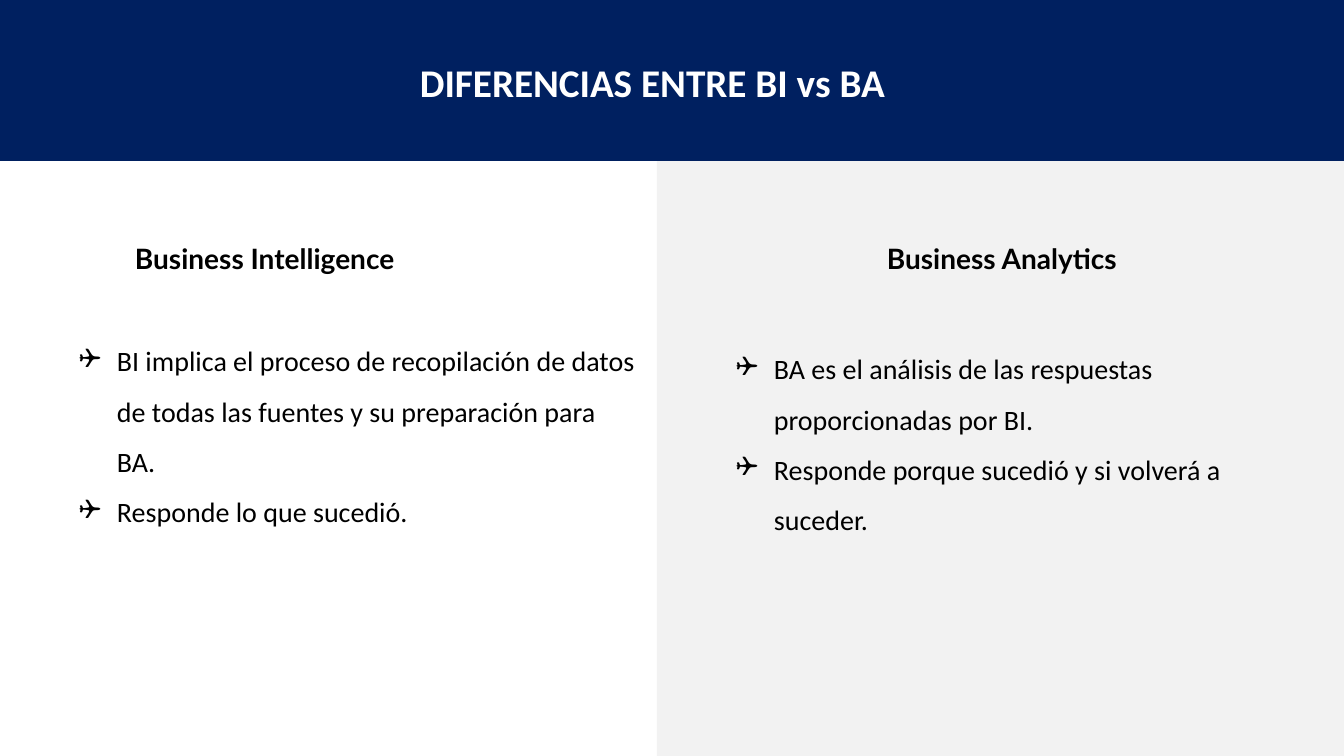
"""Build a slide that compares Business Intelligence with Business Analytics."""
from lxml import etree
from pptx import Presentation
from pptx.dml.color import RGBColor
from pptx.enum.shapes import MSO_SHAPE
from pptx.enum.text import MSO_AUTO_SIZE
from pptx.oxml.ns import qn
from pptx.util import Emu, Pt

TITLE = "DIFERENCIAS ENTRE BI vs BA"
COLUMNS = [
    {
        "heading": "Business Intelligence",
        "heading_box": (125, 237, 393, 44),
        "points": [
            "BI implica el proceso de recopilación de datos de todas las fuentes y su preparación para BA.",
            "Responde lo que sucedió.",
        ],
        "points_box": (69, 322, 576, 209),
    },
    {
        "heading": "Business Analytics",
        "heading_box": (877, 237, 342, 44),
        "points": [
            "BA es el análisis de las respuestas proporcionadas por BI.",
            "Responde porque sucedió y si volverá a suceder.",
        ],
        "points_box": (726, 330, 576, 209),
    },
]

NAVY = RGBColor(0x00, 0x20, 0x60)
LIGHT_GRAY = RGBColor(0xF2, 0xF2, 0xF2)
WHITE = RGBColor(0xFF, 0xFF, 0xFF)
BLACK = RGBColor(0x00, 0x00, 0x00)

RECTANGLE = MSO_SHAPE.RECTANGLE
FIT_SHAPE = MSO_AUTO_SIZE.SHAPE_TO_FIT_TEXT
BODY_FONT, HEADING_FONT = "Calibri", "Lato"

WIDTH, HEIGHT = 1344, 756
BANNER_HEIGHT = 161
PANEL_LEFT = 657
BULLET_INDENT = 38
EMU_PER_PX = 12192000 / WIDTH


def px(length):
    return Emu(round(length * EMU_PER_PX))


def add_panel(slide, box, color):
    shape = slide.shapes.add_shape(RECTANGLE, *map(px, box))
    shape.shadow.inherit = False
    shape.fill.solid()
    shape.fill.fore_color.rgb = color
    shape.line.fill.background()


def add_bullet(paragraph):
    paragraph.line_spacing = 1.5
    properties = paragraph._p.get_or_add_pPr()
    properties.set("marL", str(px(BULLET_INDENT)))
    properties.set("indent", str(-px(BULLET_INDENT)))
    etree.SubElement(properties, qn("a:buFont"), typeface="Wingdings")
    etree.SubElement(properties, qn("a:buChar"), char="❑")


def add_text(slide, box, lines, font_name, size, color, bold=False, bulleted=False):
    frame = slide.shapes.add_textbox(*map(px, box)).text_frame
    frame.word_wrap = True
    frame.auto_size = FIT_SHAPE
    for index, line in enumerate(lines):
        paragraph = frame.add_paragraph() if index else frame.paragraphs[0]
        if bulleted:
            add_bullet(paragraph)
        run = paragraph.add_run()
        run.text = line
        run.font.name = font_name
        run.font.size = Pt(size)
        run.font.bold = bold
        run.font.color.rgb = color


def main():
    presentation = Presentation()
    presentation.slide_width, presentation.slide_height = px(WIDTH), px(HEIGHT)
    slide = presentation.slides.add_slide(presentation.slide_layouts[6])

    add_panel(slide, (0, 0, WIDTH, BANNER_HEIGHT), NAVY)
    add_panel(
        slide,
        (PANEL_LEFT, BANNER_HEIGHT, WIDTH - PANEL_LEFT, HEIGHT - BANNER_HEIGHT),
        LIGHT_GRAY,
    )
    add_text(slide, (410, 53, 494, 57), [TITLE], BODY_FONT, 28, WHITE, bold=True)
    for column in COLUMNS:
        add_text(slide, column["heading_box"], [column["heading"]],
                 HEADING_FONT, 20, BLACK, bold=True)
        add_text(slide, column["points_box"], column["points"],
                 BODY_FONT, 20, BLACK, bulleted=True)

    presentation.save("out.pptx")


if __name__ == "__main__":
    main()
